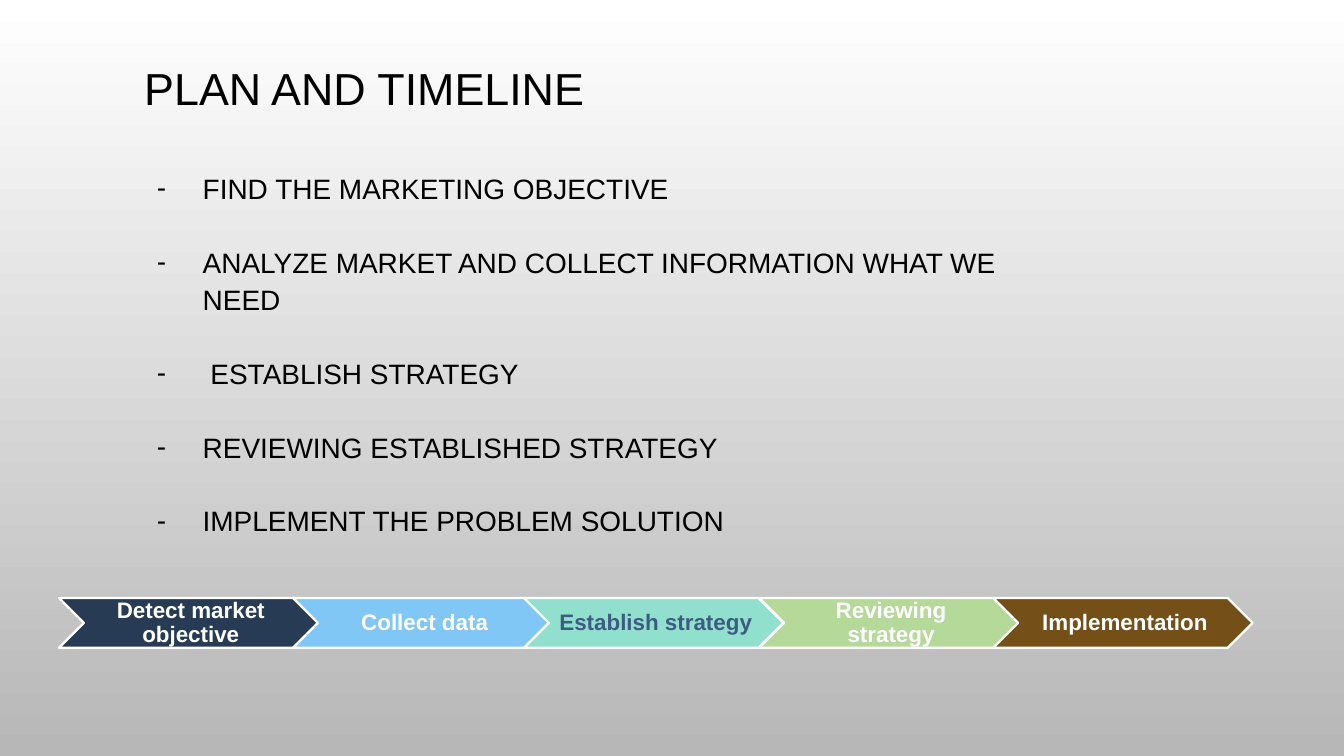
from dataclasses import dataclass

from lxml.etree import SubElement as Sub
from pptx import Presentation
from pptx.dml.color import RGBColor as Rgb
from pptx.enum.shapes import MSO_SHAPE as Shape
from pptx.enum.text import MSO_ANCHOR as Anchor, PP_ALIGN as Align
from pptx.oxml.ns import qn
from pptx.util import Inches, Pt

FONT = "Arial"
HEX = {
    "black": "000000", "white": "FFFFFF", "gray": "B7B7B7",
    "navy": "273C54", "sky": "80C7F5", "mint": "91DFCD",
    "lime": "B5D999", "brown": "744F17", "slate": "3D5C82",
}


@dataclass
class Step:
    left: float
    text: str
    fill: str
    ink: str = "white"


STEPS = [
    Step(0.44, "Detect market objective", "navy"),
    Step(2.18, "Collect data", "sky"),
    Step(3.9, "Establish strategy", "mint", "slate"),
    Step(5.65, "Reviewing strategy", "lime"),
    Step(7.39, "Implementation", "brown"),
]
GOALS = [
    "FIND THE MARKETING OBJECTIVE",
    "ANALYZE MARKET AND COLLECT INFORMATION WHAT WE NEED",
    " ESTABLISH STRATEGY",
    "REVIEWING ESTABLISHED STRATEGY",
    "IMPLEMENT THE PROBLEM SOLUTION",
]
TOP, WIDE, HIGH = 4.45, 1.93, 0.37  # chevron row
INSET, LABEL = 0.19, 1.55


def color(name: str) -> Rgb:
    return Rgb.from_string(HEX[name])


def add_box(slide, left: float, top: float, width: float, height: float,
            pads=(0.1, 0.1, 0.1, 0.1)):
    box = slide.shapes.add_textbox(
        Inches(left), Inches(top), Inches(width), Inches(height))
    frame = box.text_frame
    frame.word_wrap = True
    (frame.margin_left, frame.margin_top,
     frame.margin_right, frame.margin_bottom) = map(Inches, pads)
    return frame


def add_run(para, text: str, size: float, ink: str, bold: bool = False) -> None:
    run = para.add_run()
    run.text = text
    font = run.font
    font.name, font.size, font.bold = FONT, Pt(size), bold
    font.color.rgb = color(ink)


def add_dash(para) -> None:
    props = para._p.get_or_add_pPr()
    props.set("marL", str(Inches(0.5)))
    props.set("indent", str(Inches(-0.34)))
    tint = Sub(props, qn("a:buClr"))
    Sub(tint, qn("a:srgbClr"), val=HEX["black"])
    Sub(props, qn("a:buFont"), typeface=FONT)
    Sub(props, qn("a:buChar"), char="-")


def add_step(slide, step: Step) -> None:
    arrow = slide.shapes.add_shape(
        Shape.CHEVRON, Inches(step.left), Inches(TOP), Inches(WIDE), Inches(HIGH))
    arrow.shadow.inherit = False
    arrow.fill.solid()
    arrow.fill.fore_color.rgb = color(step.fill)
    arrow.line.color.rgb = color("white")
    arrow.line.width = Pt(1.25)
    frame = add_box(slide, step.left + INSET, TOP, LABEL, HIGH,
                    (0.05, 0.02, 0.02, 0.02))
    frame.vertical_anchor = Anchor.MIDDLE
    para = frame.paragraphs[0]
    para.alignment, para.line_spacing = Align.CENTER, 0.9
    add_run(para, step.text, 12, step.ink, True)


def main() -> None:
    deck = Presentation()
    deck.slide_width = Inches(10)
    deck.slide_height = deck.slide_width * 9 // 16
    slide = deck.slides.add_slide(deck.slide_layouts[6])

    # Background, white at the top
    fill = slide.background.fill
    fill.gradient()
    fill.gradient_angle = 270
    for stop, name in zip(fill.gradient_stops, ("white", "gray")):
        stop.color.rgb = color(name)

    # Title
    para = add_box(slide, -1.14, 0.4, 7.7, 1).paragraphs[0]
    para.alignment, para.line_spacing = Align.CENTER, 0.9
    add_run(para, "PLAN AND TIMELINE", 24, "black")

    # Goals, one line apart
    frame = add_box(slide, 0.91, 1.15, 6.91, 3.18)
    for i, goal in enumerate(GOALS):
        para = frame.add_paragraph() if i else frame.paragraphs[0]
        para.line_spacing = 1.1
        if i:
            para.space_before = Pt(19.8)
        add_dash(para)
        add_run(para, goal, 15, "black")

    # Timeline
    for step in STEPS:
        add_step(slide, step)

    deck.save("out.pptx")


if __name__ == "__main__":
    main()
